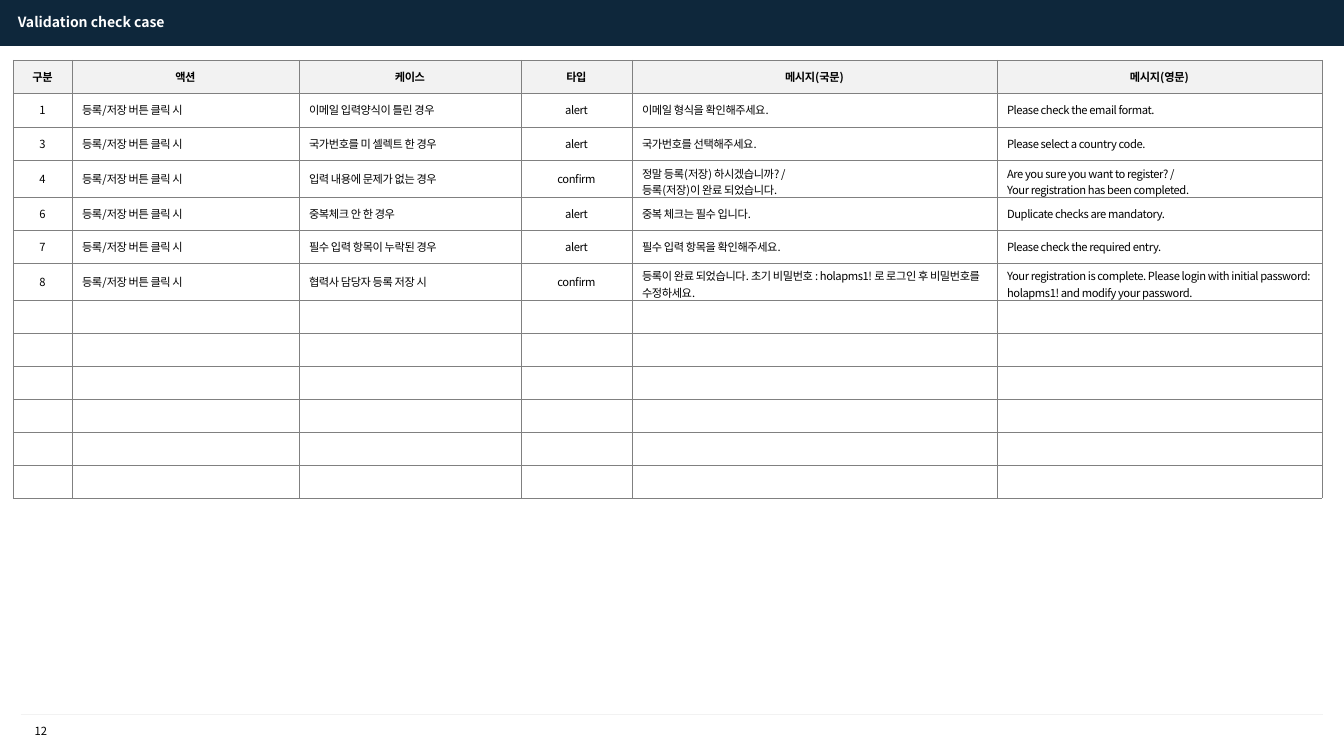
from lxml.etree import SubElement
from pptx import Presentation
from pptx.dml.color import RGBColor
from pptx.enum.shapes import MSO_CONNECTOR as Connector, MSO_SHAPE as Shape
from pptx.enum.text import MSO_ANCHOR as Anchor, PP_ALIGN as Align
from pptx.oxml import parse_xml
from pptx.oxml.ns import nsdecls, qn
from pptx.util import Emu, Pt

NAVY = RGBColor(0x0E, 0x27, 0x3B)
WHITE = RGBColor(0xFF, 0xFF, 0xFF)
BLACK = RGBColor(0, 0, 0)
PALE = RGBColor(0xF2, 0xF2, 0xF2)
GRAY = RGBColor(0x80, 0x80, 0x80)

HEADERS = ["구분", "액션", "케이스", "타입", "메시지(국문)", "메시지(영문)"]
ACTION = "등록/저장 버튼 클릭 시"
CASES = [
    ("1", "이메일 입력양식이 틀린 경우", "alert",
     "이메일 형식을 확인해주세요.", "Please check the email format."),
    ("3", "국가번호를 미 셀렉트 한 경우", "alert",
     "국가번호를 선택해주세요.", "Please select a country code."),
    ("4", "입력 내용에 문제가 없는 경우", "confirm",
     "정말 등록(저장) 하시겠습니까? /\n등록(저장)이 완료 되었습니다.",
     "Are you sure you want to register? /\nYour registration has been completed."),
    ("6", "중복체크 안 한 경우", "alert",
     "중복 체크는 필수 입니다.", "Duplicate checks are mandatory."),
    ("7", "필수 입력 항목이 누락된 경우", "alert",
     "필수 입력 항목을 확인해주세요.", "Please check the required entry."),
    ("8", "협력사 담당자 등록 저장 시", "confirm",
     "등록이 완료 되었습니다. 초기 비밀번호 : holapms1! 로 로그인 후 비밀번호를 수정하세요.",
     "Your registration is complete. Please login with initial password: "
     "holapms1! and modify your password."),
]
EMPTY_ROWS = 6
COLUMN_WIDTHS = [59, 227, 222, 111, 365, 325]
CENTERED_COLUMNS = (0, 3)
ROW_HEIGHTS = [33, 34] + [33] * (len(CASES) - 1 + EMPTY_ROWS)


def px(length):
    """Turn a length in px into EMU."""
    return Emu(round(length * 914400 / 100.8))


class SlideBuilder:
    """Hold the text style and the current slide, and draw its elements."""

    def __init__(self, slide, font_name="Noto Sans CJK KR", size=8):
        self.slide = slide
        self.font_name = font_name
        self.size = size

    def style(self, paragraph, color=BLACK, size=None, bold=False, align=Align.LEFT, spacing=0):
        """Set the alignment and the font of a paragraph."""
        paragraph.alignment = align
        font = paragraph.font
        font.size = Pt(size or self.size)
        font.bold = bold
        font.color.rgb = color
        font.name = self.font_name
        properties = paragraph._p.pPr.find(qn("a:defRPr"))
        SubElement(properties, qn("a:ea"), typeface=self.font_name)
        if spacing:
            properties.set("spc", str(spacing))

    def bar(self, left, top, width, height, color):
        """Add a filled rectangle without an outline."""
        shape = self.slide.shapes.add_shape(
            Shape.RECTANGLE, px(left), px(top), px(width), px(height))
        shape.shadow.inherit = False
        shape.fill.solid()
        shape.fill.fore_color.rgb = color
        shape.line.fill.background()

    def rule(self, left, right, y, color):
        """Add a thin horizontal line."""
        line = self.slide.shapes.add_connector(
            Connector.STRAIGHT, px(left), px(y), px(right), px(y))
        line.line.color.rgb = color
        line.line.width = Pt(0.75)
        SubElement(line._element.spPr, qn("a:effectLst"))

    def text(self, left, top, width, height, words, wrap=True, **style):
        """Add a text box with one paragraph."""
        box = self.slide.shapes.add_textbox(px(left), px(top), px(width), px(height))
        box.text_frame.word_wrap = wrap
        box.text_frame.text = words
        self.style(box.text_frame.paragraphs[0], **style)

    def cell(self, cell, words, fill, **style):
        """Fill, border and write one table cell."""
        cell.fill.solid()
        cell.fill.fore_color.rgb = fill
        cell.vertical_anchor = Anchor.MIDDLE
        for index, side in enumerate("LRTB"):
            cell._tc.tcPr.insert(index, parse_xml(
                f'<a:ln{side} {nsdecls("a")} w="3175"><a:solidFill>'
                f'<a:srgbClr val="{GRAY}"/></a:solidFill></a:ln{side}>'))
        cell.text_frame.text = words
        for paragraph in cell.text_frame.paragraphs:
            self.style(paragraph, spacing=-30, **style)
            if not words:
                SubElement(paragraph._p, qn("a:endParaRPr"), sz=str(self.size * 100))

    def table(self, left, top, rows):
        """Add the bordered table with its header row."""
        frame = self.slide.shapes.add_table(
            len(rows), len(COLUMN_WIDTHS), px(left), px(top),
            px(sum(COLUMN_WIDTHS)), px(sum(ROW_HEIGHTS)))
        table = frame.table
        table.first_row = table.horz_banding = False
        for column, width in zip(table.columns, COLUMN_WIDTHS):
            column.width = px(width)
        for row_index, row in enumerate(rows):
            table.rows[row_index].height = px(ROW_HEIGHTS[row_index])
            header = row_index == 0
            for column_index, words in enumerate(row):
                centered = header or column_index in CENTERED_COLUMNS
                self.cell(table.cell(row_index, column_index), words,
                          PALE if header else WHITE, bold=header,
                          align=Align.CENTER if centered else Align.LEFT)


def main():
    """Build and save the slide."""
    presentation = Presentation()
    presentation.slide_width = px(1344)
    presentation.slide_height = px(756)
    builder = SlideBuilder(presentation.slides.add_slide(presentation.slide_layouts[6]))
    builder.bar(0, 0, 1344, 46, NAVY)
    builder.rule(21, 1323, 715, PALE)
    builder.text(17, 719, 48, 24, "12", wrap=False, align=Align.CENTER)
    builder.text(8, 9, 347, 27, "Validation check case", color=WHITE, size=10, bold=True)
    filled = [[number, ACTION, *rest] for number, *rest in CASES]
    blank = [[""] * len(HEADERS)] * EMPTY_ROWS
    builder.table(13, 60, [HEADERS, *filled, *blank])
    presentation.save("out.pptx")


if __name__ == "__main__":
    main()
